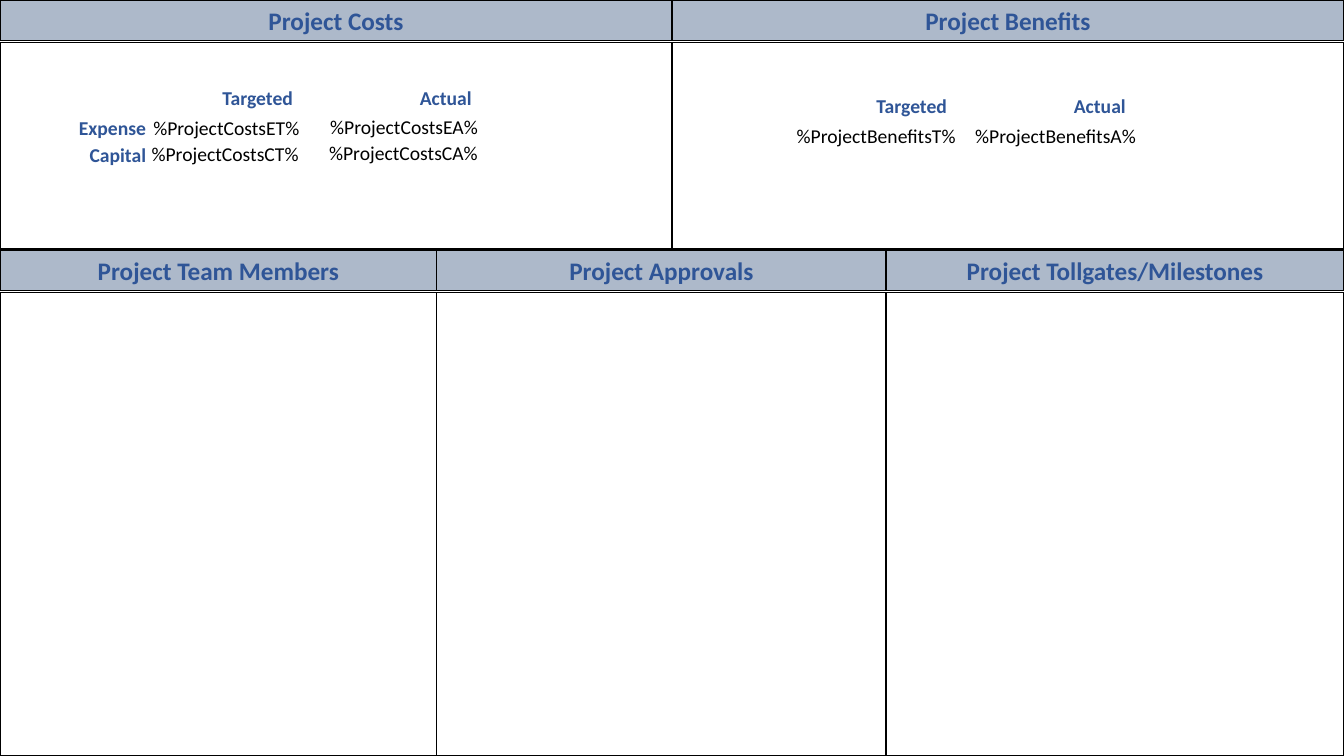
import pptx
import pptx.util
import pptx.dml.color
import pptx.enum.shapes
import pptx.enum.text
import lxml.etree

Pt = pptx.util.Pt
ALIGN = pptx.enum.text.PP_ALIGN
COLORS = {"header": "ADB9CA", "accent": "2F5597", "ink": "000000"}


class Board:
    """Draws the panels and texts of a project board on one slide."""

    def __init__(self, slide, font="Calibri"):
        self.slide = slide
        self.font = font

    def color(self, name):
        return pptx.dml.color.RGBColor.from_string(COLORS[name])

    def format(self, p, size, color, bold, align):
        p.alignment = align
        for r in p.runs:
            r.font.name = self.font
            r.font.size = Pt(size)
            r.font.bold = bold
            r.font.color.rgb = self.color(color)

    def rect(self, x, y, w, h, fill=None):
        sp = self.slide.shapes.add_shape(
            pptx.enum.shapes.MSO_SHAPE.RECTANGLE, Pt(x), Pt(y), Pt(w), Pt(h))
        sp.shadow.inherit = False
        sp.line.color.rgb = self.color("ink")
        sp.line.width = Pt(1)
        if fill:
            sp.fill.solid()
            sp.fill.fore_color.rgb = self.color(fill)
        else:
            sp.fill.background()
        return sp

    def panel(self, title, x, y, w, h, header=29, gap=1.2):
        tf = self.rect(x, y, w, header, "header").text_frame
        tf.text = title
        tf.vertical_anchor = pptx.enum.text.MSO_ANCHOR.MIDDLE
        self.format(tf.paragraphs[0], 18, "accent", True, ALIGN.CENTER)
        top = y + header + gap
        self.rect(x, top, w, h - header - gap)

    def text(self, text, x, y, w, h=24.5, color="ink", bold=False,
             align=ALIGN.RIGHT, spacing=None):
        tf = self.slide.shapes.add_textbox(Pt(x), Pt(y), Pt(w), Pt(h)).text_frame
        tf.word_wrap = True
        tf.text = text
        for p in tf.paragraphs:
            self.format(p, 14, color, bold, align)
            if spacing:
                p.line_spacing = Pt(spacing)
        return tf

    def column_heads(self, x, y):
        tf = self.text("Targeted\tActual", x, y, 216, color="accent",
                       bold=True, align=ALIGN.LEFT)
        pPr = tf.paragraphs[0]._p.get_or_add_pPr()
        ns = pPr.nsmap["a"]
        tabs = lxml.etree.SubElement(pPr, f"{{{ns}}}tabLst")
        lxml.etree.SubElement(tabs, f"{{{ns}}}tab", pos=str(Pt(141)), algn="l")


prs = pptx.Presentation()
prs.slide_width, prs.slide_height = Pt(960), Pt(540)
board = Board(prs.slides.add_slide(prs.slide_layouts[6]))

ROWS = [
    (0, 177.8, [0, 480, 960], ["Project Costs", "Project Benefits"]),
    (178.6, 361.4, [0, 312, 633, 960],
     ["Project Team Members", "Project Approvals", "Project Tollgates/Milestones"]),
]
for y, h, edges, titles in ROWS:
    for title, left, right in zip(titles, edges, edges[1:]):
        board.panel(title, left, y, right - left, h)

board.text("Expense\nCapital", 42, 76.3, 69.5, 46, "accent", True, spacing=19.5)
for x, y in [(151.8, 58), (619, 63.8)]:
    board.column_heads(x, y)

VALUES = [
    ("%ProjectCostsET%", 221, 79.2), ("%ProjectCostsCT%", 220.5, 97.9),
    ("%ProjectCostsEA%", 348.5, 78.5), ("%ProjectCostsCA%", 348.5, 97.2),
    ("%ProjectBenefitsT%", 689.8, 85), ("%ProjectBenefitsA%", 818.6, 85),
]
for value, right, y in VALUES:
    board.text(value, right - 146, y, 146)

prs.save("out.pptx")
